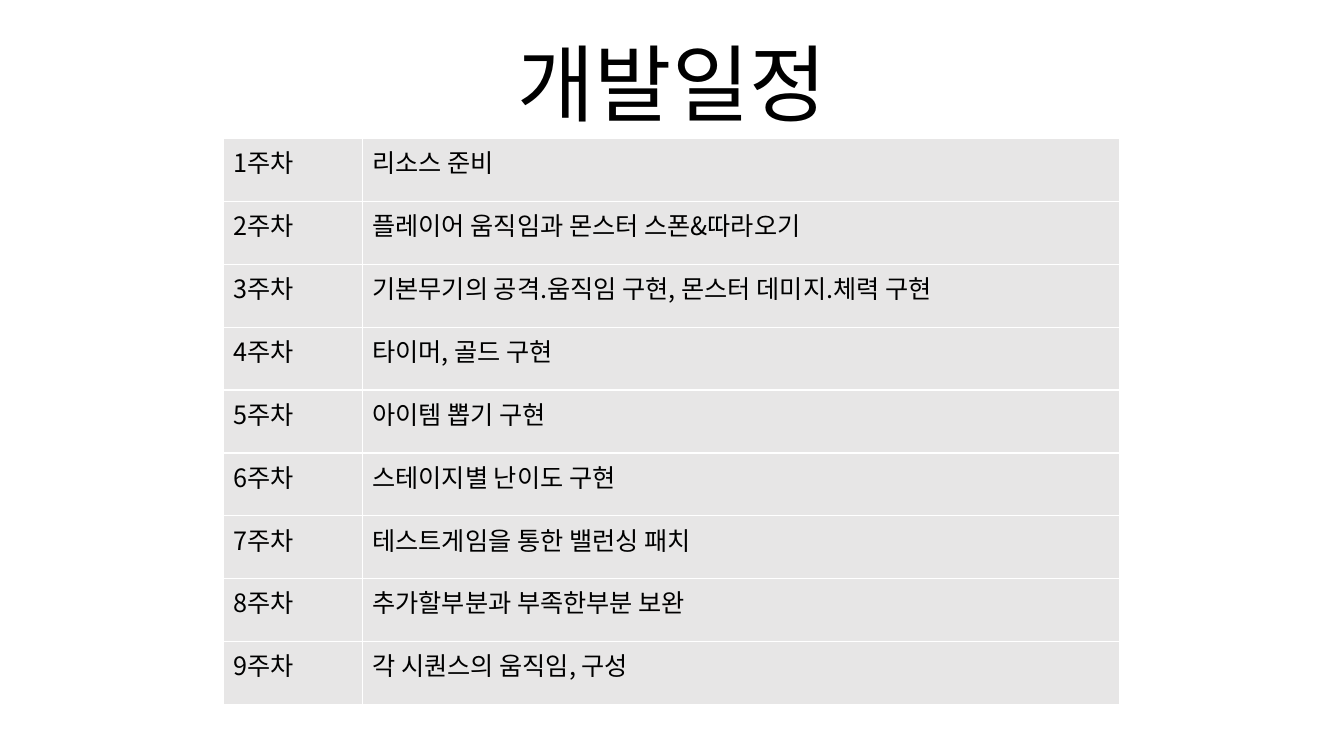
from dataclasses import dataclass

from lxml.etree import SubElement as Sub
from pptx import Presentation
from pptx.dml.color import RGBColor
from pptx.enum.text import MSO_ANCHOR as Anchor, PP_ALIGN as Align
from pptx.oxml import parse_xml
from pptx.oxml.ns import nsdecls, qn
from pptx.slide import Slide
from pptx.table import _Cell as Cell
from pptx.util import Emu, Pt

SCALE = 9525
FONT = "Noto Sans CJK KR"
BLACK = RGBColor(0x00, 0x00, 0x00)
WHITE = RGBColor(0xFF, 0xFF, 0xFF)
GRAY = RGBColor(0xE7, 0xE6, 0xE6)
COLS = (132, 721)


@dataclass(frozen=True)
class Box:
    left: int
    top: int
    width: int
    height: int

    def emu(self) -> tuple[Emu, ...]:
        return tuple(px(n) for n in (self.left, self.top, self.width, self.height))


@dataclass(frozen=True)
class Week:
    num: int
    task: str

    def cells(self) -> tuple[str, str]:
        return f"{self.num}주차", self.task


TASKS = (
    "리소스 준비",
    "플레이어 움직임과 몬스터 스폰&따라오기",
    "기본무기의 공격.움직임 구현, 몬스터 데미지.체력 구현",
    "타이머, 골드 구현",
    "아이템 뽑기 구현",
    "스테이지별 난이도 구현",
    "테스트게임을 통한 밸런싱 패치",
    "추가할부분과 부족한부분 보완",
    "각 시퀀스의 움직임, 구성",
)
WEEKS = [Week(num, task) for num, task in enumerate(TASKS, 1)]
TITLE = Box(453, 26, 374, 106)
TABLE = Box(213, 132, sum(COLS), 539)


def px(n: int) -> Emu:
    return Emu(n * SCALE)


def add_run(para, text: str, size: int) -> None:
    run = para.add_run()
    run.text = text
    font = run.font
    font.size, font.name = Pt(size), FONT
    font.color.rgb = BLACK
    Sub(font._element, qn("a:ea"), typeface=FONT)


def add_title(slide: Slide, text: str) -> None:
    frame = slide.shapes.add_textbox(*TITLE.emu()).text_frame
    frame.word_wrap = True
    frame.vertical_anchor = Anchor.BOTTOM
    para = frame.paragraphs[0]
    para.alignment = Align.CENTER
    para.line_spacing = 0.9
    add_run(para, text, 60)


def style(cell: Cell) -> None:
    cell.fill.solid()
    cell.fill.fore_color.rgb = GRAY
    props = cell._tc.get_or_add_tcPr()
    for pos, side in enumerate("LRTB"):
        props.insert(pos, parse_xml(
            f'<a:ln{side} {nsdecls("a")} w="{Pt(1)}"><a:solidFill>'
            f'<a:srgbClr val="{WHITE}"/></a:solidFill></a:ln{side}>'))


def add_plan(slide: Slide, weeks: list[Week]) -> None:
    table = slide.shapes.add_table(len(weeks), len(COLS), *TABLE.emu()).table
    table.first_row = table.horz_banding = False
    for col, width in zip(table.columns, COLS):
        col.width = px(width)
    for row, week in zip(table.rows, weeks):
        for cell, text in zip(row.cells, week.cells()):
            style(cell)
            add_run(cell.text_frame.paragraphs[0], text, 18)


def main() -> None:
    deck = Presentation()
    deck.slide_width, deck.slide_height = px(1280), px(720)
    slide = deck.slides.add_slide(deck.slide_layouts[6])
    add_title(slide, "개발일정")
    add_plan(slide, WEEKS)
    deck.save("out.pptx")


if __name__ == "__main__":
    """Build the development schedule slide."""
    main()
